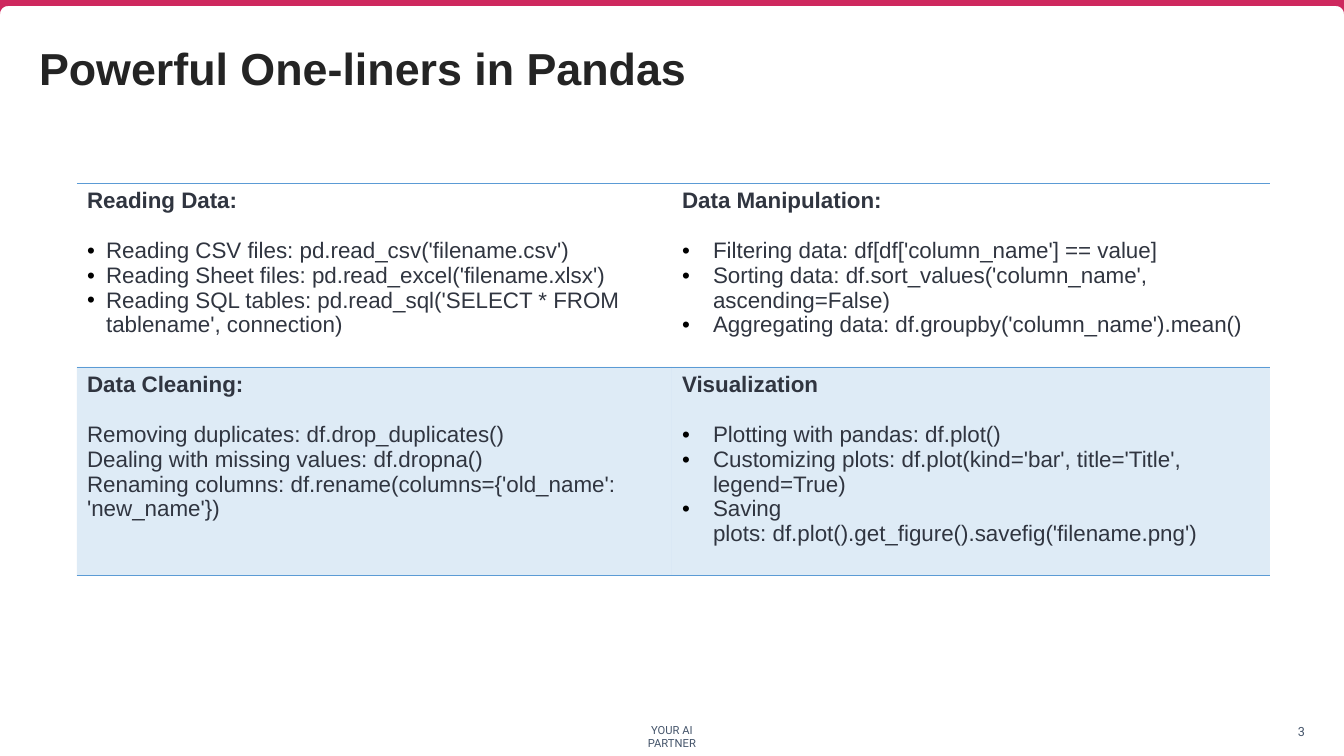
from math import cos, pi, sin

from lxml.etree import SubElement
from pptx import Presentation
from pptx.dml.color import RGBColor
from pptx.enum.text import MSO_ANCHOR as Anchor, MSO_AUTO_SIZE as AutoSize, PP_ALIGN as Align
from pptx.oxml import parse_xml
from pptx.oxml.ns import nsdecls, qn
from pptx.util import Emu, Pt

SCALE = 914400 / 100.8
COLORS = {
    "accent": "CE285E",
    "title": "242424",
    "body": "303540",
    "footer": "44546A",
    "table": "5B9BD5",
    "bullet": "000000",
}
PLAIN_TABLE_STYLE = "{2D5ABB26-0587-4C30-8999-92F81FD0307C}"
HARD_SPACE = chr(160)
COLUMN_WIDTHS = [595, 598]
ROW_HEIGHTS = [184, 209]
TOPICS = [
    [
        ("Reading Data:", 19, [
            ("Reading CSV files:", "pd.read_csv('filename.csv')"),
            ("Reading Sheet files:", "pd.read_excel('filename.xlsx')"),
            ("Reading SQL tables:", "pd.read_sql('SELECT * FROM tablename', connection)"),
        ]),
        ("Data Manipulation:", 31, [
            ("Filtering data:", "df[df['column_name'] == value]"),
            ("Sorting data:", "df.sort_values('column_name', ascending=False)"),
            ("Aggregating data:", "df.groupby('column_name').mean()"),
        ]),
    ],
    [
        ("Data Cleaning:", 0, [
            ("Removing duplicates:", "df.drop_duplicates()"),
            ("Dealing with missing values:", "df.dropna()"),
            ("Renaming columns:", "df.rename(columns={'old_name': 'new_name'})"),
        ]),
        ("Visualization", 31, [
            ("Plotting with pandas:", "df.plot()"),
            ("Customizing plots:", "df.plot(kind='bar', title='Title', legend=True)"),
            ("Saving plots:", "df.plot().get_figure().savefig('filename.png')"),
        ]),
    ],
]


def px(length):
    return Emu(round(length * SCALE))


def color(name):
    return RGBColor.from_string(COLORS[name])


def write_text(paragraph, text, size=16, font="Arial", fill="body", bold=False, align=Align.LEFT):
    paragraph.alignment = align
    run = paragraph.add_run()
    run.text = text
    run.font.size = Pt(size)
    run.font.name = font
    run.font.bold = bold
    run.font.color.rgb = color(fill)


def set_frame(frame, anchor=Anchor.TOP):
    frame.margin_left = frame.margin_top = frame.margin_right = frame.margin_bottom = 0
    frame.word_wrap = True
    frame.auto_size = AutoSize.NONE
    frame.vertical_anchor = anchor


def add_title(slide, text):
    title = slide.shapes.title
    title.left, title.top, title.width, title.height = px(39), px(41), px(1266), px(109)
    set_frame(title.text_frame)
    write_text(title.text_frame.paragraphs[0], text, size=32, fill="title", bold=True)


def add_label(slide, text, left, top, width, height, anchor=Anchor.TOP, **text_format):
    label = slide.shapes.add_textbox(px(left), px(top), px(width), px(height))
    set_frame(label.text_frame, anchor)
    write_text(label.text_frame.paragraphs[0], text, font="Roboto", fill="footer", **text_format)


def add_top_band(slide, width=1344, edge=6, radius=8, steps=8):
    angles = [step * pi / 2 / steps for step in range(steps + 1)]
    corner = [(radius * (1 - cos(angle)), edge + radius * (1 - sin(angle))) for angle in angles]
    outline = [(width, 0)]
    outline += [(width - x, y) for x, y in corner]
    outline += reversed(corner)
    builder = slide.shapes.build_freeform(0, 0)
    builder.add_line_segments([(px(x), px(y)) for x, y in outline], close=True)
    band = builder.convert_to_shape()
    band.shadow.inherit = False
    band.fill.solid()
    band.fill.fore_color.rgb = color("accent")
    band.line.fill.background()


def add_bullet(paragraph, indent):
    properties = paragraph._p.get_or_add_pPr()
    properties.set("marL", str(px(indent)))
    properties.set("indent", str(-px(indent)))
    bullet_color = SubElement(properties, qn("a:buClr"))
    SubElement(bullet_color, qn("a:srgbClr"), val=COLORS["bullet"])
    SubElement(properties, qn("a:buFont"), typeface="Arial")
    SubElement(properties, qn("a:buChar"), char="•")


def fill_topic(cell, heading, indent, items):
    frame = cell.text_frame
    write_text(frame.paragraphs[0], heading, bold=True)
    for index, item in enumerate(items):
        paragraph = frame.add_paragraph()
        if indent:
            add_bullet(paragraph, indent)
        if index == 0:
            paragraph.space_before = Pt(18)
        write_text(paragraph, HARD_SPACE.join(item))


def style_cell(cell, shaded):
    properties = cell._tc.get_or_add_tcPr()
    if shaded:
        cell.fill.solid()
        cell.fill.fore_color.rgb = color("table")
        tint = properties.find(".//" + qn("a:srgbClr"))
        SubElement(tint, qn("a:alpha"), val="20000")
    else:
        cell.fill.background()
    for side in ("lnB", "lnT"):
        properties.insert(0, parse_xml(
            f'<a:{side} {nsdecls("a")} w="{Pt(0.75)}"><a:solidFill>'
            f'<a:srgbClr val="{COLORS["table"]}"/></a:solidFill></a:{side}>'
        ))


def add_topic_table(slide):
    frame = slide.shapes.add_table(
        len(ROW_HEIGHTS), len(COLUMN_WIDTHS), px(77), px(183),
        px(sum(COLUMN_WIDTHS)), px(sum(ROW_HEIGHTS)),
    )
    table = frame.table
    table.first_row = table.horz_banding = False
    table._tbl.find(".//" + qn("a:tableStyleId")).text = PLAIN_TABLE_STYLE
    for column, width in zip(table.columns, COLUMN_WIDTHS):
        column.width = px(width)
    for row_index, (row, height) in enumerate(zip(table.rows, ROW_HEIGHTS)):
        row.height = px(height)
        for cell, topic in zip(row.cells, TOPICS[row_index]):
            fill_topic(cell, *topic)
            style_cell(cell, shaded=row_index == 1)


def main():
    presentation = Presentation()
    presentation.slide_width = px(1344)
    presentation.slide_height = px(756)
    slide = presentation.slides.add_slide(presentation.slide_layouts[5])
    add_label(slide, "YOUR AI PARTNER", 642, 723, 60, 26, size=8, align=Align.CENTER)
    add_top_band(slide)
    add_title(slide, "Powerful One-liners in Pandas")
    add_label(slide, "3", 1236, 724, 69, 15, anchor=Anchor.MIDDLE, size=9, align=Align.RIGHT)
    add_topic_table(slide)
    presentation.save("out.pptx")


if __name__ == "__main__":
    main()
